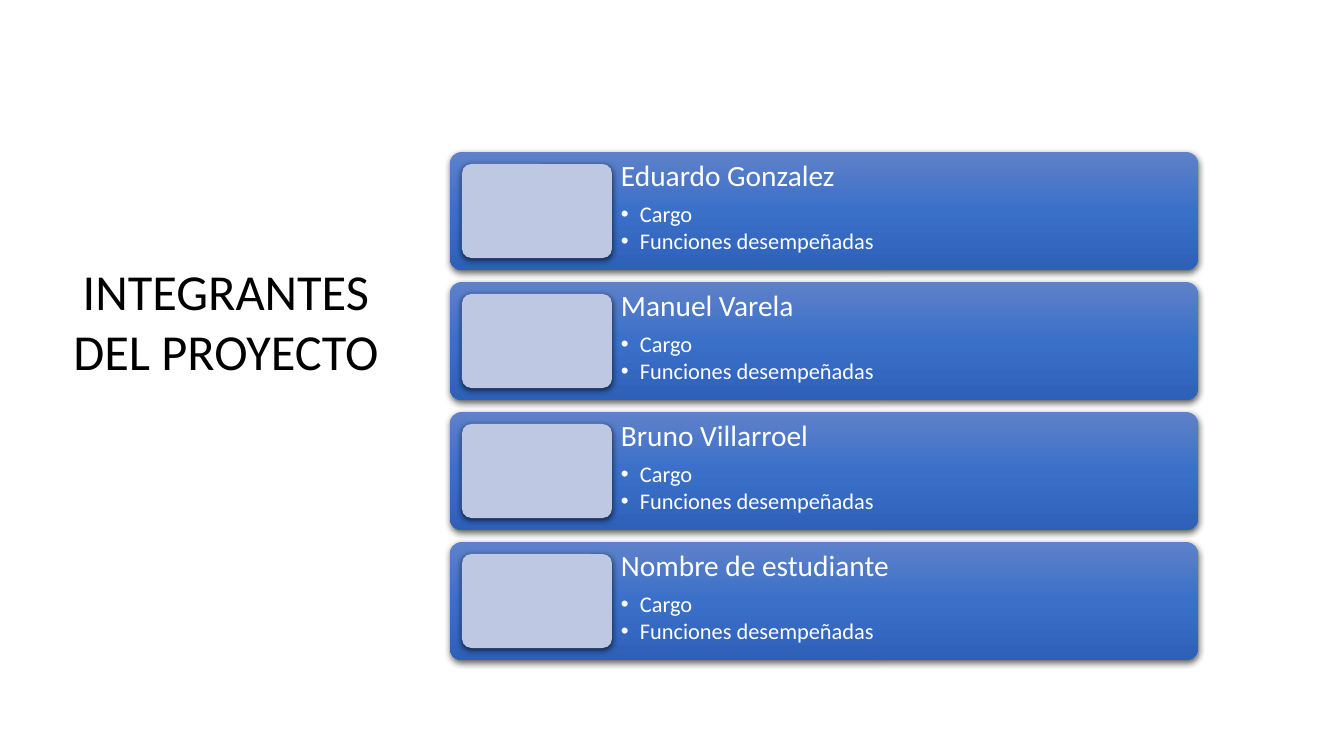
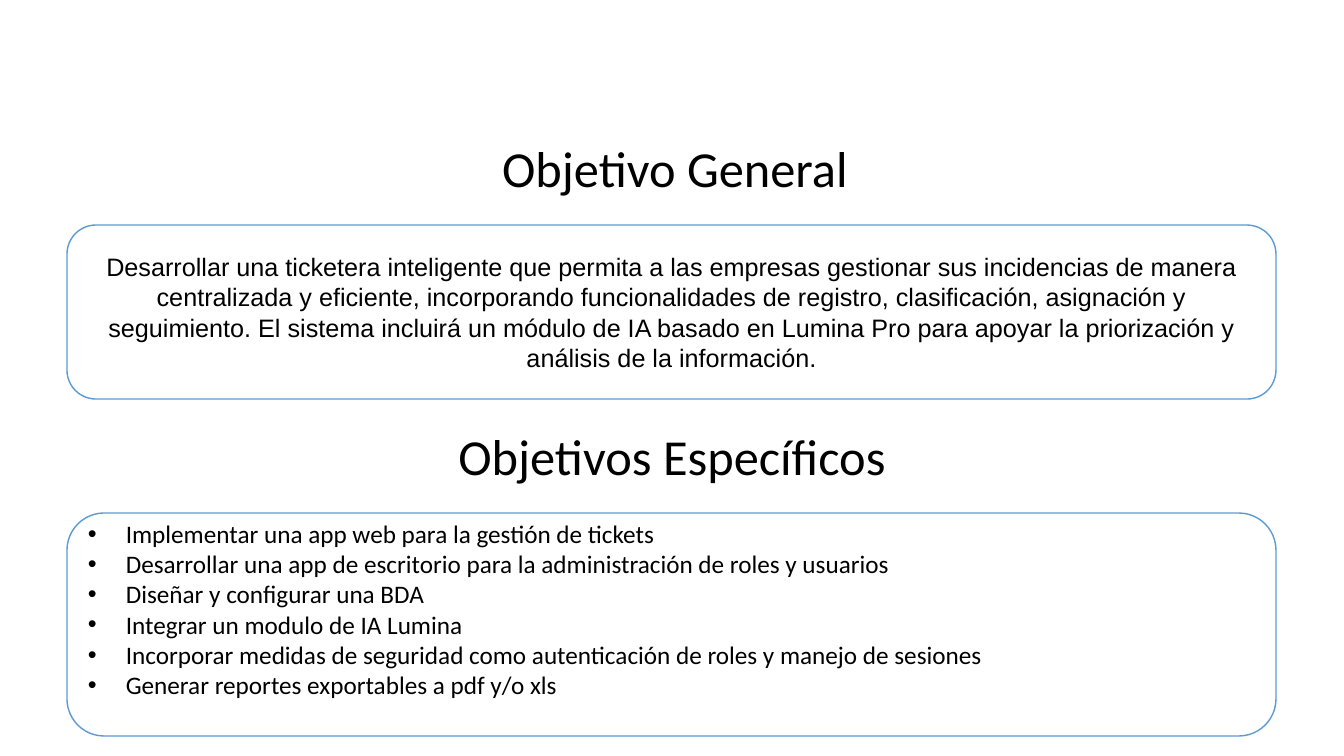
from lxml.etree import SubElement
from pptx import Presentation
from pptx.dml.color import RGBColor
from pptx.enum.shapes import MSO_SHAPE
from pptx.enum.text import MSO_ANCHOR, MSO_AUTO_SIZE, PP_ALIGN
from pptx.oxml.ns import qn
from pptx.util import Pt

PX = 12192000 / 1344
COLORS = {
    "text": "000000",
    "paper": "FFFFFF",
    "outline": "5B9BD5",
    "photo": "BFC8E3",
    "shadow": "000000",
}
BAR_GRADIENT = {0: "5E81C9", 50: "3B70C9", 100: "2E60B8"}
TITLE_SIZE = 36


def px(*lengths):
    return [round(length * PX) for length in lengths]


def style_paragraph(para, text, size, color="text", font="Calibri", bullet_indent=0):
    """Fill a paragraph; a bullet_indent in px gives it a hanging bullet."""
    para.text = text
    if bullet_indent:
        indent = round(bullet_indent * PX)
        properties = para._p.get_or_add_pPr()
        properties.set("marL", str(indent))
        properties.set("indent", str(-indent))
        bullet_color = SubElement(properties, qn("a:buClr"))
        SubElement(bullet_color, qn("a:srgbClr"), val=COLORS[color])
        SubElement(properties, qn("a:buFont"), typeface="Arial")
        SubElement(properties, qn("a:buChar"), char="•")
    para.font.name = font
    para.font.size = Pt(size)
    para.font.color.rgb = RGBColor.from_string(COLORS[color])


deck = Presentation()
deck.slide_width, deck.slide_height = px(1344, 756)
title_only = deck.slide_layouts[5]
members_page = deck.slides.add_slide(title_only)
goals_page = deck.slides.add_slide(title_only)

# Headings of both slides
specific_heading = goals_page.shapes.add_textbox(*px(14, 420, 1316, 72))
headings = [
    (members_page.shapes.title, "INTEGRANTES DEL PROYECTO", (61, 255, 330, 132)),
    (goals_page.shapes.title, "Objetivo General", (17, 132, 1316, 72)),
    (specific_heading, "Objetivos Específicos", (14, 420, 1316, 72)),
]
for heading, text, place in headings:
    heading.left, heading.top, heading.width, heading.height = px(*place)
    frame = heading.text_frame
    frame.word_wrap = True
    frame.auto_size = MSO_AUTO_SIZE.NONE
    frame.vertical_anchor = MSO_ANCHOR.TOP
    para = frame.paragraphs[0]
    para.alignment = PP_ALIGN.CENTER
    style_paragraph(para, text, TITLE_SIZE)

# Slide 1: one bar per member, with a photo frame and a description
BAR_LEFT, BAR_TOP, BAR_WIDTH, BAR_HEIGHT = 450, 152, 748, 118
GAP = 12
PHOTO_WIDTH = 150
TEXT_OFFSET = GAP + PHOTO_WIDTH
members = ["Eduardo Gonzalez", "Manuel Varela", "Bruno Villarroel", "Nombre de estudiante"]
for row, member in enumerate(members):
    top = BAR_TOP + row * (BAR_HEIGHT + GAP)
    bar = members_page.shapes.add_shape(
        MSO_SHAPE.ROUNDED_RECTANGLE, *px(BAR_LEFT, top, BAR_WIDTH, BAR_HEIGHT))
    bar.fill.gradient()
    bar.fill.gradient_angle = 270
    stops = bar._element.spPr.find(".//" + qn("a:gsLst"))
    for stop in list(stops):
        stops.remove(stop)
    for percent, color in BAR_GRADIENT.items():
        stop = SubElement(stops, qn("a:gs"), pos=str(percent * 1000))
        SubElement(stop, qn("a:srgbClr"), val=color)

    photo = members_page.shapes.add_shape(
        MSO_SHAPE.ROUNDED_RECTANGLE,
        *px(BAR_LEFT + GAP, top + GAP, PHOTO_WIDTH, BAR_HEIGHT - 2 * GAP))
    photo.fill.solid()
    photo.fill.fore_color.rgb = RGBColor.from_string(COLORS["photo"])

    for shape in (bar, photo):
        shape.adjustments[0] = 0.1
        shape.line.fill.background()
        shape.shadow.inherit = False
        effects = shape._element.spPr.find(qn("a:effectLst"))
        shadow = SubElement(effects, qn("a:outerShdw"), blurRad=str(Pt(4.5)),
                            dist=str(Pt(1.5)), dir="5400000", rotWithShape="0")
        shadow_color = SubElement(shadow, qn("a:srgbClr"), val=COLORS["shadow"])
        SubElement(shadow_color, qn("a:alpha"), val="63000")

    description = members_page.shapes.add_textbox(
        *px(BAR_LEFT + TEXT_OFFSET, top, BAR_WIDTH - TEXT_OFFSET, BAR_HEIGHT))
    frame = description.text_frame
    frame.word_wrap = True
    frame.margin_left, frame.margin_top, frame.margin_right, frame.margin_bottom = px(9, 9, 9, 9)
    style_paragraph(frame.paragraphs[0], member, 21, "paper")
    for text, space in (("Cargo", 7.3), ("Funciones desempeñadas", 2.4)):
        para = frame.add_paragraph()
        para.level = 1
        para.space_before = Pt(space)
        style_paragraph(para, text, 16, "paper", bullet_indent=19)
    for para in frame.paragraphs:
        para.line_spacing = 0.9

# Slide 2: a box under each heading
general_goal = (
    "Desarrollar una ticketera inteligente que permita a las empresas gestionar sus "
    "incidencias de manera centralizada y eficiente, incorporando funcionalidades de "
    "registro, clasificación, asignación y seguimiento. El sistema incluirá un módulo "
    "de IA basado en Lumina Pro para apoyar la priorización y análisis de la información."
)
specific_goals = [
    "Implementar una app web para la gestión de tickets",
    "Desarrollar una app de escritorio para la administración de roles y usuarios",
    "Diseñar y configurar una BDA",
    "Integrar un modulo de IA Lumina",
    "Incorporar medidas de seguridad como autenticación de roles y manejo de sesiones",
    "Generar reportes exportables a pdf y/o xls",
]
goal_boxes = [
    (225, 174, 5, [general_goal], PP_ALIGN.CENTER, "Arial", 0),
    (513, 223, 36, specific_goals, PP_ALIGN.LEFT, "Calibri", 38),
]
for top, height, bottom_margin, goals, alignment, font, indent in goal_boxes:
    box = goals_page.shapes.add_shape(
        MSO_SHAPE.ROUNDED_RECTANGLE, *px(67, top, 1209, height))
    box.shadow.inherit = False
    box.fill.solid()
    box.fill.fore_color.rgb = RGBColor.from_string(COLORS["paper"])
    box.line.color.rgb = RGBColor.from_string(COLORS["outline"])
    box.line.width = Pt(1)
    frame = box.text_frame
    frame.word_wrap = True
    frame.vertical_anchor = MSO_ANCHOR.MIDDLE
    frame.margin_bottom = round(bottom_margin * PX)
    for index, goal in enumerate(goals):
        para = frame.add_paragraph() if index else frame.paragraphs[0]
        para.alignment = alignment
        style_paragraph(para, goal, 18, font=font, bullet_indent=indent)

deck.save("out.pptx")
